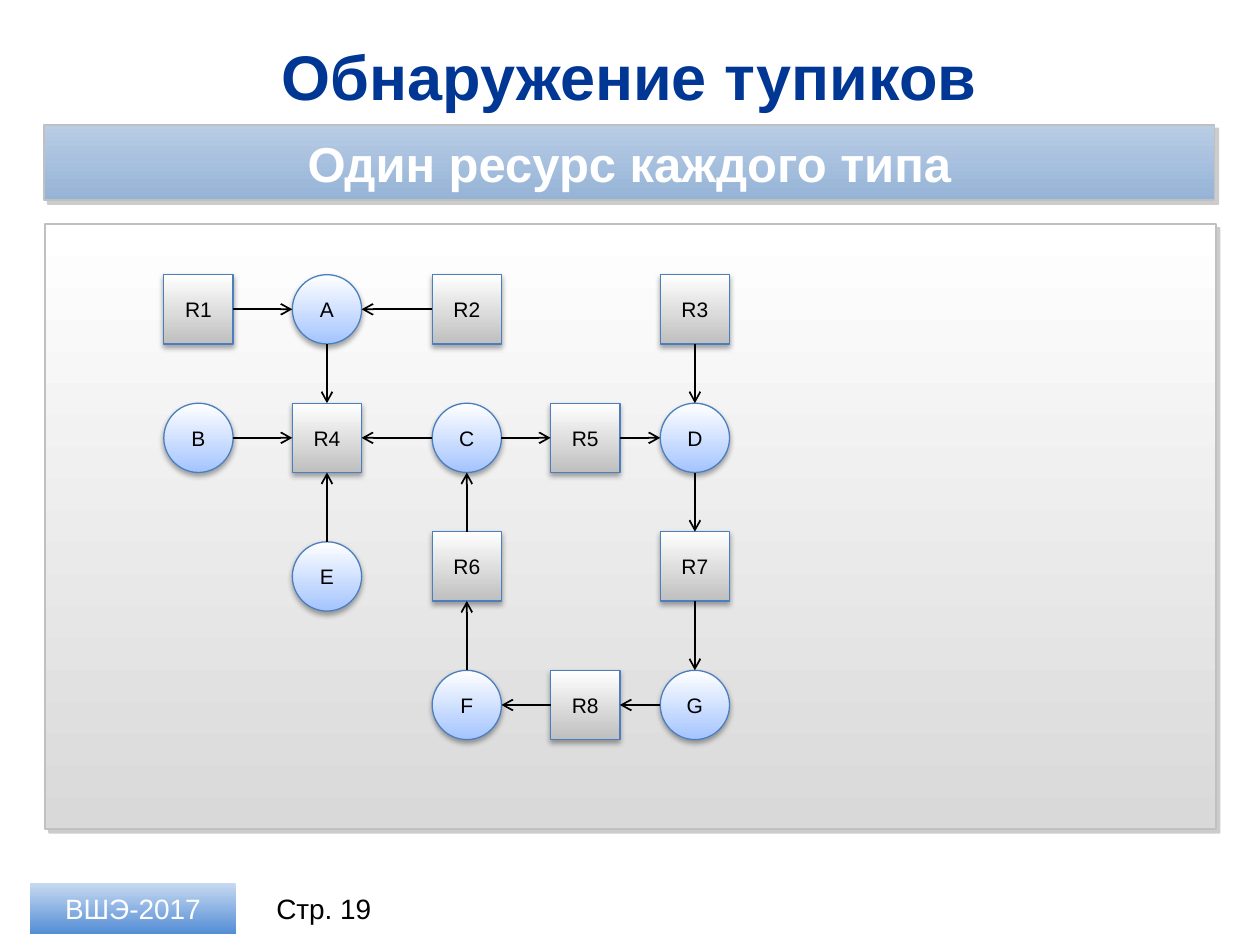
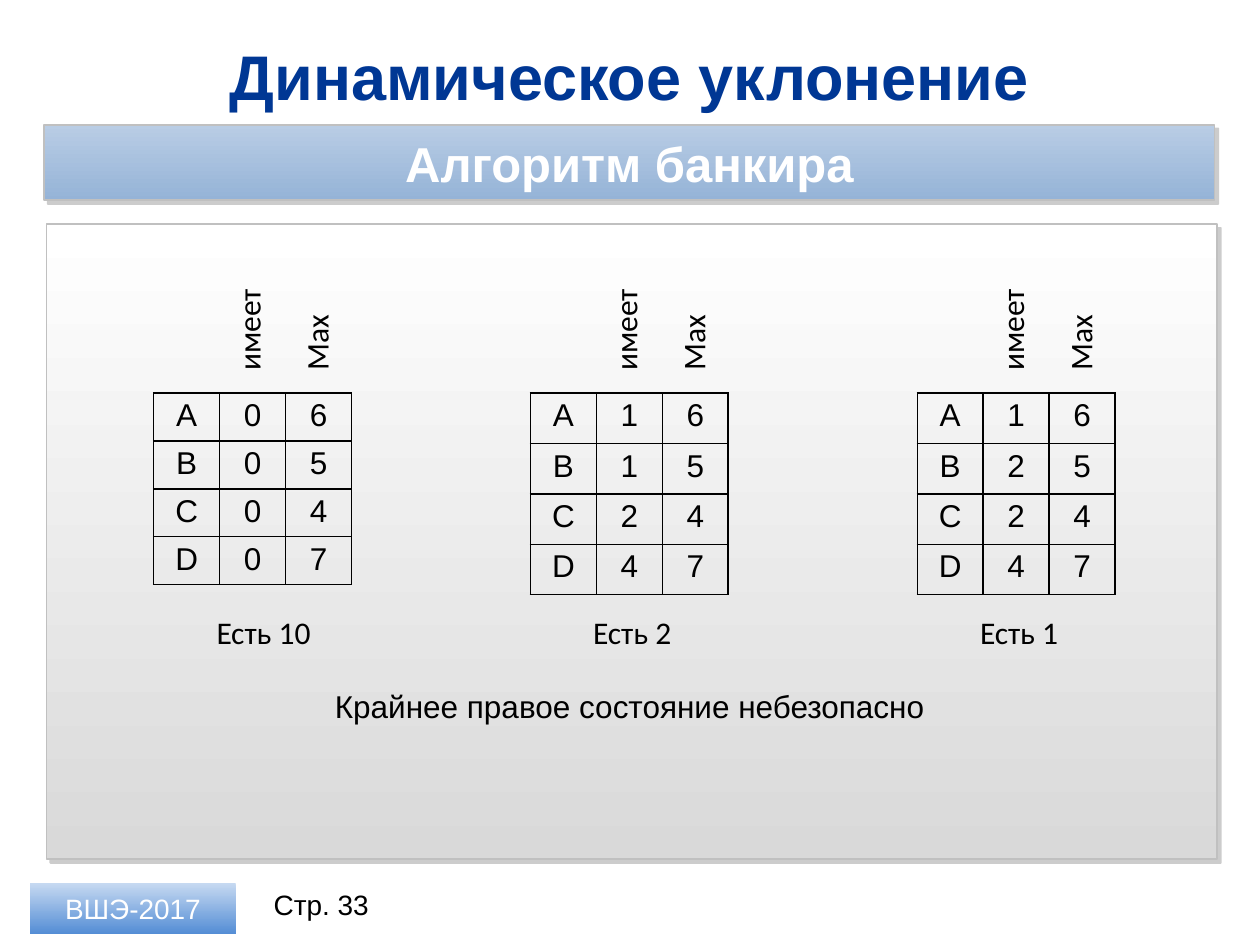
from dataclasses import dataclass

from lxml import etree
from pptx import Presentation
from pptx import util as u
from pptx.dml.color import RGBColor
from pptx.enum import shapes, text
from pptx.oxml import parse_xml
from pptx.oxml.ns import nsdecls, qn

DEADLOCK = {
    "title": "Обнаружение тупиков",
    "subtitle": "Один ресурс каждого типа",
    "page": "Стр. 19",
    "page_at": (2.03, 7.01),
    "panel": (0.36, 1.78, 9.29, 4.8),
}
COLUMNS = (1.3, 2.32, 3.43, 4.37, 5.24)
ROWS = (2.18, 3.2, 4.22, 5.32)
NODE_GRID = (
    ("R1", "A", "R2", "", "R3"),
    ("B", "R4", "C", "R5", "D"),
    ("", "E", "R6", "", "R7"),
    ("", "", "F", "R8", "G"),
)
ROW_SHIFT = {"E": 0.08}
NODE_SIZE = 0.55
ARROWS = (
    "R1 A", "R2 A", "A R4", "B R4", "C R4", "E R4", "C R5", "R3 D",
    "R5 D", "D R7", "R6 C", "F R6", "R7 G", "R8 F", "G R8",
)

BANKER = {
    "title": "Динамическое уклонение",
    "subtitle": "Алгоритм банкира",
    "page": "Стр. 33",
    "page_at": (2.01, 6.98),
    "panel": (0.37, 1.78, 9.29, 5.04),
}
PROCESSES = "ABCD"
MAXIMUM = (6, 5, 4, 7)
STATES = (
    {"left": 1.22, "row": 0.38, "has": (0, 0, 0, 0), "free": "Есть 10"},
    {"left": 4.21, "row": 0.4, "has": (1, 1, 2, 4), "free": "Есть 2"},
    {"left": 7.28, "row": 0.4, "has": (1, 2, 2, 4), "free": "Есть 1"},
)
HEADINGS = (("имеет", 0.28), ("Max", 0.82))
CONCLUSION = "Крайнее правое состояние небезопасно"
FOOTER = "ВШЭ-2017"


@dataclass(frozen=True)
class Theme:
    font: str = "Arial"
    label_font: str = "Calibri"
    ink: str = "000000"
    white: str = "FFFFFF"
    title: str = "003794"
    frame: str = "C0C0C0"
    node_line: str = "4B7EBC"
    footer: tuple = ("C6D9F1", "558ED5")
    panel: tuple = ("FFFFFF", "D9D9D9")
    band: tuple = ("B9CDE5", "95B3D7")
    process: tuple = ("FFFFFF", "A4C4FF")
    resource: tuple = ("FFFFFF", "BFBFBF")
    frame_shadow: tuple = ("808080", 40, 0, 3, 45)
    node_shadow: tuple = ("000000", 35, 3.1, 1.8, 90)
    title_size: int = 36
    band_size: int = 28
    body_size: int = 18
    footer_size: int = 16
    node_size: int = 12


THEME = Theme()


def inches(*lengths):
    return [u.Inches(round(length, 2)) for length in lengths]


def write(frame, words, size, color=THEME.ink, bold=False, font=THEME.font, align=text.PP_ALIGN.CENTER):
    paragraph = frame.paragraphs[0]
    paragraph.text = words
    paragraph.alignment = align
    paragraph.font.name = font
    paragraph.font.size = u.Pt(size)
    paragraph.font.bold = bold
    paragraph.font.color.rgb = RGBColor.from_string(color)


def add_words(slide, box, words, size, anchor=text.MSO_ANCHOR.TOP, **style):
    label = slide.shapes.add_textbox(*inches(*box))
    label.text_frame.word_wrap = True
    label.text_frame.vertical_anchor = anchor
    write(label.text_frame, words, size, **style)
    return label


def add_block(slide, box, colors, line=None, width=1, shadow=None, preset=shapes.MSO_SHAPE.RECTANGLE):
    block = slide.shapes.add_shape(preset, *inches(*box))
    block.fill.gradient()
    block.fill.gradient_angle = 270
    for stop, color in zip(block.fill.gradient_stops, colors):
        stop.color.rgb = RGBColor.from_string(color)
    if line:
        block.line.color.rgb = RGBColor.from_string(line)
        block.line.width = u.Pt(width)
    else:
        block.line.fill.background()
    block.shadow.inherit = False
    if shadow:
        color, alpha, blur, distance, angle = shadow
        block._element.spPr.find(qn("a:effectLst")).append(parse_xml(
            f'<a:outerShdw {nsdecls("a")} blurRad="{u.Pt(blur)}" dist="{u.Pt(distance)}" '
            f'dir="{angle * 60000}" algn="ctr" rotWithShape="0"><a:srgbClr val="{color}">'
            f'<a:alpha val="{alpha * 1000}"/></a:srgbClr></a:outerShdw>'))
    block.text_frame.vertical_anchor = text.MSO_ANCHOR.MIDDLE
    return block


def add_base(deck, content):
    slide = deck.slides.add_slide(deck.slide_layouts[6])
    middle = text.MSO_ANCHOR.MIDDLE
    add_words(slide, (0.35, 0.26, 9.29, 0.68), content["title"], THEME.title_size,
              middle, color=THEME.title, bold=True)
    add_words(slide, (*content["page_at"], 1.08, 0.4), content["page"], THEME.footer_size, middle)
    footer = add_block(slide, (0.24, 7.01, 1.63, 0.4), THEME.footer)
    write(footer.text_frame, FOOTER, THEME.footer_size, THEME.white)
    add_block(slide, content["panel"], THEME.panel, THEME.frame, shadow=THEME.frame_shadow)
    band = add_block(slide, (0.35, 0.99, 9.29, 0.6), THEME.band, THEME.frame, shadow=THEME.frame_shadow)
    band.text_frame.margin_left = band.text_frame.margin_right = u.Inches(0.24)
    band.text_frame.margin_top = band.text_frame.margin_bottom = u.Inches(0.04)
    write(band.text_frame, content["subtitle"], THEME.band_size, THEME.white, True)
    return slide


def is_resource(name):
    return name.startswith("R")


def add_node(slide, name, left, top):
    resource = is_resource(name)
    node = add_block(
        slide, (left, top, NODE_SIZE, NODE_SIZE),
        THEME.resource if resource else THEME.process,
        THEME.node_line, 0.75, THEME.node_shadow,
        shapes.MSO_SHAPE.RECTANGLE if resource else shapes.MSO_SHAPE.OVAL)
    node.text_frame.margin_left = node.text_frame.margin_right = 0
    write(node.text_frame, name, THEME.node_size)
    return node


def facing_side(node, other):
    across, down = other.left - node.left, other.top - node.top
    if abs(across) > abs(down):
        return 3 if across > 0 else 1
    return 2 if down > 0 else 0


def side_point(node, side):
    x, y = ((0.5, 0), (0, 0.5), (0.5, 1), (1, 0.5))[side]
    return int(node.left + x * node.width), int(node.top + y * node.height)


def add_arrow(slide, nodes, source, target):
    start, end = nodes[source], nodes[target]
    start_side, end_side = facing_side(start, end), facing_side(end, start)
    arrow = slide.shapes.add_connector(
        shapes.MSO_CONNECTOR.STRAIGHT, *side_point(start, start_side), *side_point(end, end_side))
    if is_resource(source):
        arrow.begin_connect(start, start_side)
    else:
        arrow.end_connect(end, end_side)
    arrow.line.color.rgb = RGBColor.from_string(THEME.ink)
    arrow.line.width = u.Pt(1)
    etree.SubElement(arrow.line._get_or_add_ln(), qn("a:tailEnd"), type="arrow")
    etree.SubElement(arrow._element.spPr, qn("a:effectLst"))


def add_state(slide, state):
    left = state["left"]
    rows = list(zip(PROCESSES, state["has"], MAXIMUM))
    height = state["row"] * len(rows)
    table = slide.shapes.add_table(len(rows), 3, *inches(left, 3.12, 1.57, height)).table
    table.first_row = table.horz_banding = False
    for row, values in zip(table.rows, rows):
        row.height = u.Inches(state["row"])
        for cell, value in zip(row.cells, values):
            cell.margin_top = cell.margin_bottom = u.Inches(0.04)
            for side in "LRTB":
                cell._tc.get_or_add_tcPr().append(parse_xml(
                    f'<a:ln{side} {nsdecls("a")} w="{u.Pt(1)}"><a:solidFill>'
                    f'<a:srgbClr val="{THEME.ink}"/></a:solidFill></a:ln{side}>'))
            cell.fill.background()
            write(cell.text_frame, str(value), THEME.body_size)
    label = {"size": THEME.body_size, "font": THEME.label_font, "align": text.PP_ALIGN.LEFT}
    for heading, offset in HEADINGS:
        add_words(slide, (left + offset, 2.37, 0.94, 0.4), heading, **label).rotation = 270
    add_words(slide, (left + 0.4, 4.82, 1.02, 0.4), state["free"], **label)


def build_deadlock(deck):
    slide = add_base(deck, DEADLOCK)
    nodes = {}
    for top, names in zip(ROWS, NODE_GRID):
        for left, name in zip(COLUMNS, names):
            if name:
                nodes[name] = add_node(slide, name, left, top + ROW_SHIFT.get(name, 0))
    for arrow in ARROWS:
        add_arrow(slide, nodes, *arrow.split())


def build_banker(deck):
    slide = add_base(deck, BANKER)
    for state in STATES:
        add_state(slide, state)
    add_words(slide, (2.56, 5.4, 4.96, 0.4), CONCLUSION, THEME.body_size, align=text.PP_ALIGN.LEFT)


def main():
    deck = Presentation()
    deck.slide_width, deck.slide_height = inches(10, 7.5)
    build_deadlock(deck)
    build_banker(deck)
    deck.save("out.pptx")


if __name__ == "__main__":
    main()
